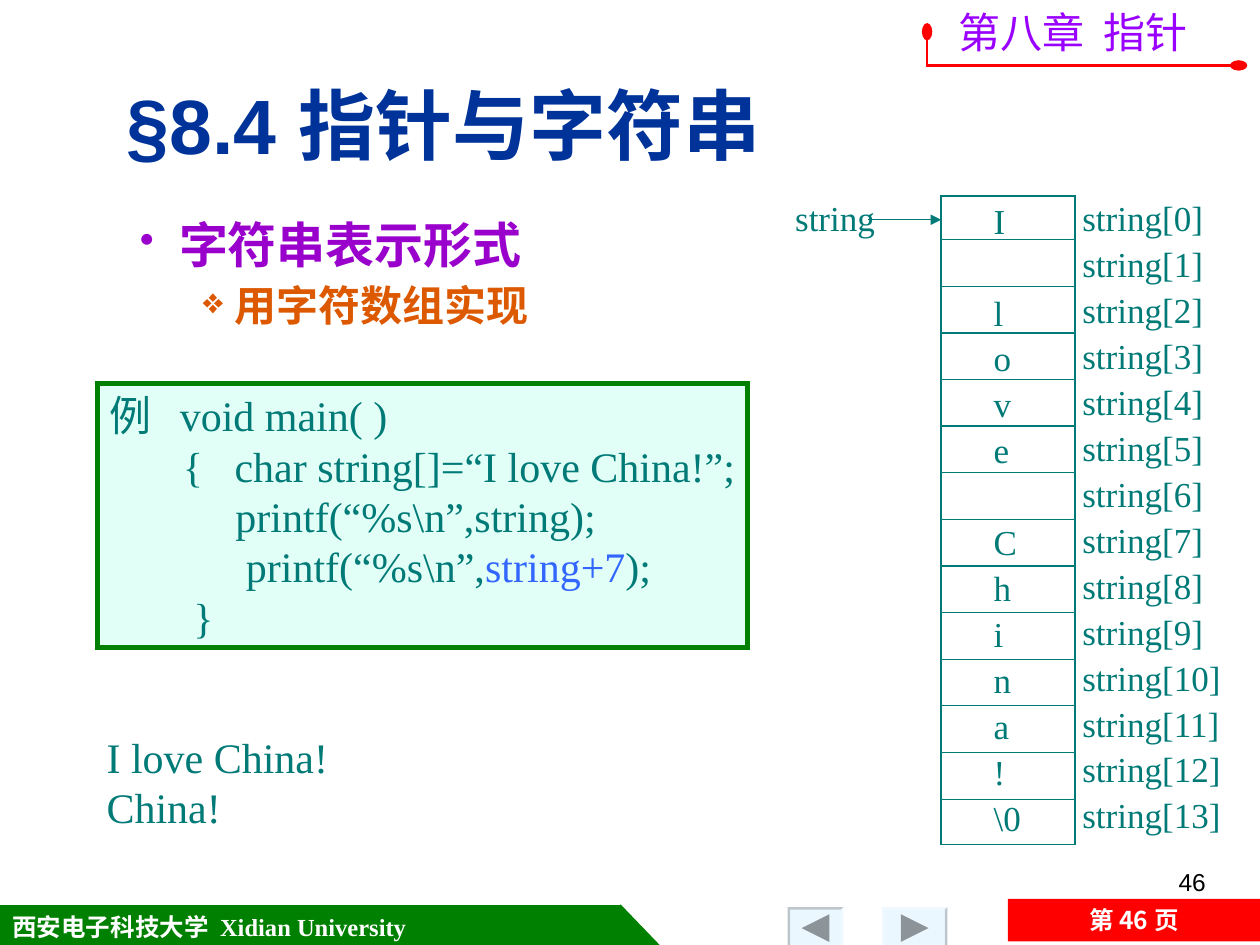
"""Build the slide on pointers and strings with a character array in memory."""
from lxml import etree
from pptx import Presentation
from pptx.dml.color import RGBColor
from pptx.enum.shapes import MSO_CONNECTOR, MSO_SHAPE
from pptx.enum.text import MSO_ANCHOR, PP_ALIGN
from pptx.oxml.ns import qn
from pptx.util import Cm, Pt

RECTANGLE = MSO_SHAPE.RECTANGLE
TRIANGLE = MSO_SHAPE.RIGHT_TRIANGLE
STRAIGHT = MSO_CONNECTOR.STRAIGHT
LEFT, CENTER, RIGHT = PP_ALIGN.LEFT, PP_ALIGN.CENTER, PP_ALIGN.RIGHT
TOP, MIDDLE, BOTTOM = MSO_ANCHOR.TOP, MSO_ANCHOR.MIDDLE, MSO_ANCHOR.BOTTOM
SERIF, SANS, CHINESE = "Times New Roman", "Arial", "Noto Sans CJK SC"
COLORS = {
    "teal": "007A77", "green": "008000", "mint": "E1FFF7", "red": "FF0000",
    "white": "FFFFFF", "black": "000000", "navy": "003399", "purple": "9900CC",
    "violet": "9900FF", "orange": "DC5900", "blue": "3366FF",
    "face": "EBF7FF", "light": "EFF9FF", "shade": "BCC6CC", "arrow": "8D9499",
}


def paint(shape, fill=None, line=None, width=0.75):
    shape.shadow.inherit = False
    if fill:
        shape.fill.solid()
        shape.fill.fore_color.rgb = RGBColor.from_string(COLORS[fill])
    else:
        shape.fill.background()
    if line:
        shape.line.color.rgb = RGBColor.from_string(COLORS[line])
        shape.line.width = Pt(width)
        etree.SubElement(shape.line._get_or_add_ln(), qn("a:miter"), lim="800000")
    else:
        shape.line.fill.background()


def write(shape, lines, size, color, font=SERIF, bold=False, align=LEFT, anchor=TOP, wrap=True):
    frame = shape.text_frame
    frame.word_wrap = wrap
    frame.vertical_anchor = anchor
    for index, line in enumerate(lines):
        paragraph = frame.paragraphs[0] if index == 0 else frame.add_paragraph()
        for part in line if isinstance(line, list) else [line]:
            paragraph.add_run().text = part
        paragraph.alignment = align
        paragraph.font.size = Pt(size)
        paragraph.font.name = font
        paragraph.font.bold = bold
        paragraph.font.color.rgb = RGBColor.from_string(COLORS[color])


presentation = Presentation()
presentation.slide_width, presentation.slide_height = Cm(25.4), Cm(19.05)
slide = presentation.slides.add_slide(presentation.slide_layouts[6])
shapes = slide.shapes

footer = shapes.add_shape(RECTANGLE, Cm(0), Cm(18.26), Cm(12.5), Cm(0.79))
paint(footer, "green", "green")
footer.text_frame.margin_top = Cm(0.18)
write(footer, ["西安电子科技大学  Xidian University"], 14, "white", bold=True, anchor=MIDDLE)
footer_tip = shapes.add_shape(TRIANGLE, Cm(12.52), Cm(18.26), Cm(0.76), Cm(0.79))
paint(footer_tip, "green", "green")

buttons = [(17.78, 1.32, False, "light", "shade"), (15.88, 1.12, True, "shade", "light")]
for left, width, mirrored, near_color, far_color in buttons:
    top, height, bevel = 18.29, 0.76, 0.05
    inner = width - bevel
    center_x, center_y, half = width / 2, 0.42, 0.28
    facets = [
        ("face", [(0, 0), (width, 0), (width, height), (0, height)]),
        (near_color, [(0, 0), (width, 0), (inner, bevel), (bevel, bevel)]),
        (far_color, [(width, 0), (width, height), (inner, height), (inner, bevel)]),
        (near_color, [(0, height), (0, 0), (bevel, bevel), (bevel, height)]),
        ("arrow", [(center_x - half, center_y - half), (center_x + half, center_y),
                   (center_x - half, center_y + half)]),
    ]
    for color, corners in facets:
        if mirrored and color == "arrow":
            corners = [(width - x, y) for x, y in corners]
        points = [(Cm(left + x), Cm(top + y)) for x, y in corners]
        builder = shapes.build_freeform(*points[0])
        builder.add_line_segments(points[1:], close=True)
        paint(builder.convert_to_shape(), color)

page_bar = shapes.add_shape(RECTANGLE, Cm(20.32), Cm(18.12), Cm(5.08), Cm(0.86))
paint(page_bar, "red")
write(page_bar, ["第 46 页"], 14, "white", CHINESE, bold=True, align=CENTER, anchor=MIDDLE)

page_number = shapes.add_textbox(Cm(18.21), Cm(17.35), Cm(6.35), Cm(1.32))
write(page_number, ["46"], 14, "black", SANS, align=RIGHT)

outline = shapes.add_textbox(Cm(1.3), Cm(4.34), Cm(12.29), Cm(2.39))
outline.text_frame.word_wrap = True
outline.text_frame.add_paragraph()
bullets = [
    ("•", "字符串表示形式", "purple", 28, 2.06, 0.79, 0),
    ("❖", "用字符数组实现", "orange", 24, 3.18, 0.64, 6),
]
for paragraph, bullet in zip(outline.text_frame.paragraphs, bullets):
    mark, text, color, size, margin, hanging, before = bullet
    properties = paragraph._p.get_or_add_pPr()
    properties.set("marL", str(Cm(margin)))
    properties.set("indent", str(-Cm(hanging)))
    bullet_color = etree.SubElement(properties, qn("a:buClr"))
    etree.SubElement(bullet_color, qn("a:srgbClr"), val=COLORS[color])
    etree.SubElement(properties, qn("a:buSzPct"), val="85000")
    etree.SubElement(properties, qn("a:buChar"), char=mark)
    paragraph.line_spacing = 0.9
    paragraph.space_before = Pt(before)
    paragraph.add_run().text = text
    paragraph.font.size = Pt(size)
    paragraph.font.name = SANS
    paragraph.font.bold = True
    paragraph.font.color.rgb = RGBColor.from_string(COLORS[color])

code_box = shapes.add_shape(RECTANGLE, Cm(1.96), Cm(7.73), Cm(13.11), Cm(5.33))
paint(code_box, "mint", "green", 3)
code = [
    "例   void main( )",
    "       {   char string[]=“I love China!”;",
    "            printf(“%s\\n”,string);",
    ["             printf(“%s\\n”,", "string+7", ");"],
    "        }",
]
write(code_box, code, 24, "teal", wrap=False)
offset_run = code_box.text_frame.paragraphs[3].runs[1]
offset_run.font.color.rgb = RGBColor.from_string(COLORS["blue"])

array_left, array_right, pitch = 18.97, 21.67, 12.04 / 13
array = shapes.add_shape(RECTANGLE, Cm(array_left), Cm(3.95), Cm(array_right - array_left), Cm(13.08))
paint(array, line="teal")
for index, letter in enumerate([*"I love China!", "\\0"]):
    if letter != " ":
        cell = shapes.add_textbox(Cm(19.78), Cm(3.89 + index * pitch), Cm(1.5), Cm(1.12))
        write(cell, [letter], 20, "teal")
    label = shapes.add_textbox(Cm(21.57), Cm(3.84 + index * pitch), Cm(3.5), Cm(1.12))
    write(label, [f"string[{index}]"], 20, "teal")

pointer_label = shapes.add_textbox(Cm(15.78), Cm(3.84), Cm(2.3), Cm(1.12))
write(pointer_label, ["string"], 20, "teal")

dividers = [(array_left, array_right, 4.83 + index * 0.94) for index in range(13)]
for start, end, height in [(17.5, array_left, 4.43), *dividers]:
    connector = shapes.add_connector(STRAIGHT, Cm(start), Cm(height), Cm(end), Cm(height))
    connector.line.color.rgb = RGBColor.from_string(COLORS["teal"])
    connector.line.width = Pt(0.75)
    if end == array_left:
        etree.SubElement(connector.line._get_or_add_ln(), qn("a:tailEnd"), type="triangle")
    etree.SubElement(connector._element.spPr, qn("a:effectLst"))

title = shapes.add_textbox(Cm(2.31), Cm(1.52), Cm(21.59), Cm(2.03))
write(title, ["§8.4 指针与字符串"], 44, "navy", SANS, bold=True, anchor=BOTTOM)

chapter = shapes.add_textbox(Cm(19.08), Cm(0), Cm(5.59), Cm(1.27))
write(chapter, ["第八章  指针"], 24, "violet", CHINESE)
builder = shapes.build_freeform(Cm(18.69), Cm(0.64))
builder.add_line_segments([(Cm(18.69), Cm(1.32)), (Cm(24.97), Cm(1.32))], close=False)
chapter_rule = builder.convert_to_shape()
paint(chapter_rule, line="red", width=1.5)
for end in ("headEnd", "tailEnd"):
    etree.SubElement(chapter_rule.line._get_or_add_ln(), qn(f"a:{end}"), type="oval", len="lg")

output = shapes.add_textbox(Cm(1.9), Cm(14.62), Cm(5.79), Cm(2.29))
write(output, ["I love China!", "China!"], 24, "teal")

presentation.save("out.pptx")
